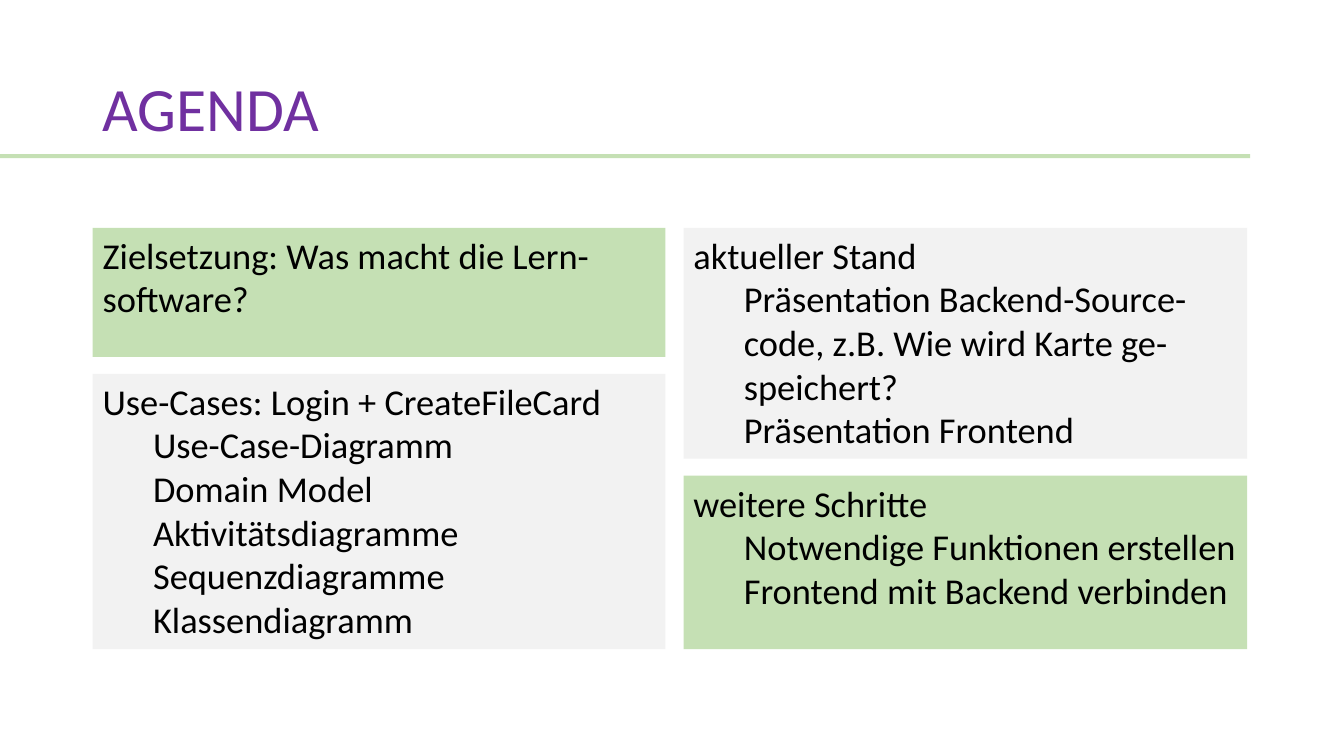
from dataclasses import dataclass

from pptx import Presentation
from pptx import util as u
from pptx.dml import color
from pptx.enum import shapes, text

WIDTH, HEIGHT = u.Inches(13.33), u.Inches(7.5)
COLORS = {"green": "C5E0B4", "gray": "F2F2F2", "purple": "7030A0", "black": "000000"}
FONT = "Calibri"
LEFT, TOP = 6.9, 30.13
COL_GAP, ROW_GAP = 1.35, 2.27


@dataclass
class Topic:
    height: float
    fill: str
    heading: str
    items: tuple[str, ...] = ()


@dataclass
class Column:
    width: float
    topics: tuple[Topic, ...]


COLUMNS = (
    Column(42.61, (
        Topic(17.07, "green", "Zielsetzung: Was macht die Lern-software?"),
        Topic(36.4, "gray", "Use-Cases: Login + CreateFileCard", (
            "Use-Case-Diagramm",
            "Domain Model",
            "Aktivitätsdiagramme",
            "Sequenzdiagramme",
            "Klassendiagramm",
        )),
    )),
    Column(41.94, (
        Topic(30.53, "gray", "aktueller Stand", (
            "Präsentation Backend-Source-code, z.B. Wie wird Karte ge-speichert?",
            "Präsentation Frontend",
        )),
        Topic(22.93, "green", "weitere Schritte", (
            "Notwendige Funktionen erstellen",
            "Frontend mit Backend verbinden",
        )),
    )),
)


def box(left: float, top: float, width: float, height: float) -> tuple[int, ...]:
    return (int(WIDTH * left / 100), int(HEIGHT * top / 100),
            int(WIDTH * width / 100), int(HEIGHT * height / 100))


def add_bar(s, place: tuple[int, ...], fill: str):
    sp = s.shapes.add_shape(shapes.MSO_SHAPE.RECTANGLE, *place)
    sp.shadow.inherit = False
    sp.fill.solid()
    sp.fill.fore_color.rgb = color.RGBColor.from_string(COLORS[fill])
    sp.line.fill.background()
    return sp


def add_run(p, words: str, size: float, ink: str) -> None:
    p.alignment = text.PP_ALIGN.LEFT
    r = p.add_run()
    r.text = words
    r.font.name = FONT
    r.font.size = u.Pt(size)
    r.font.color.rgb = color.RGBColor.from_string(COLORS[ink])


def add_title(s, words: str) -> None:
    tf = s.shapes.add_textbox(*box(LEFT, 5.07, 86.27, 19.33)).text_frame
    tf.word_wrap = True
    tf.vertical_anchor = text.MSO_ANCHOR.MIDDLE
    p = tf.paragraphs[0]
    p.line_spacing = 0.9
    add_run(p, words, 44, "purple")


def add_topic(s, topic: Topic, left: float, top: float, width: float) -> None:
    tf = add_bar(s, box(left, top, width, topic.height), topic.fill).text_frame
    tf.word_wrap = True
    tf.vertical_anchor = text.MSO_ANCHOR.TOP
    add_run(tf.paragraphs[0], topic.heading, 26, "black")
    for item in topic.items:
        p = tf.add_paragraph()
        p.level = 1
        pPr = p._p.get_or_add_pPr()
        pPr.set("marL", str(u.Inches(0.5)))
        pPr.set("indent", "0")
        add_run(p, item, 26, "black")


def main() -> None:
    prs = Presentation()
    prs.slide_width, prs.slide_height = WIDTH, HEIGHT
    s = prs.slides.add_slide(prs.slide_layouts[6])
    add_bar(s, box(0, 20.4, 93.02, 0.53), "green")
    add_title(s, "AGENDA")
    left = LEFT
    for column in COLUMNS:
        top = TOP
        for topic in column.topics:
            add_topic(s, topic, left, top, column.width)
            top += topic.height + ROW_GAP
        left += column.width + COL_GAP
    prs.save("out.pptx")


if __name__ == "__main__":
    main()
